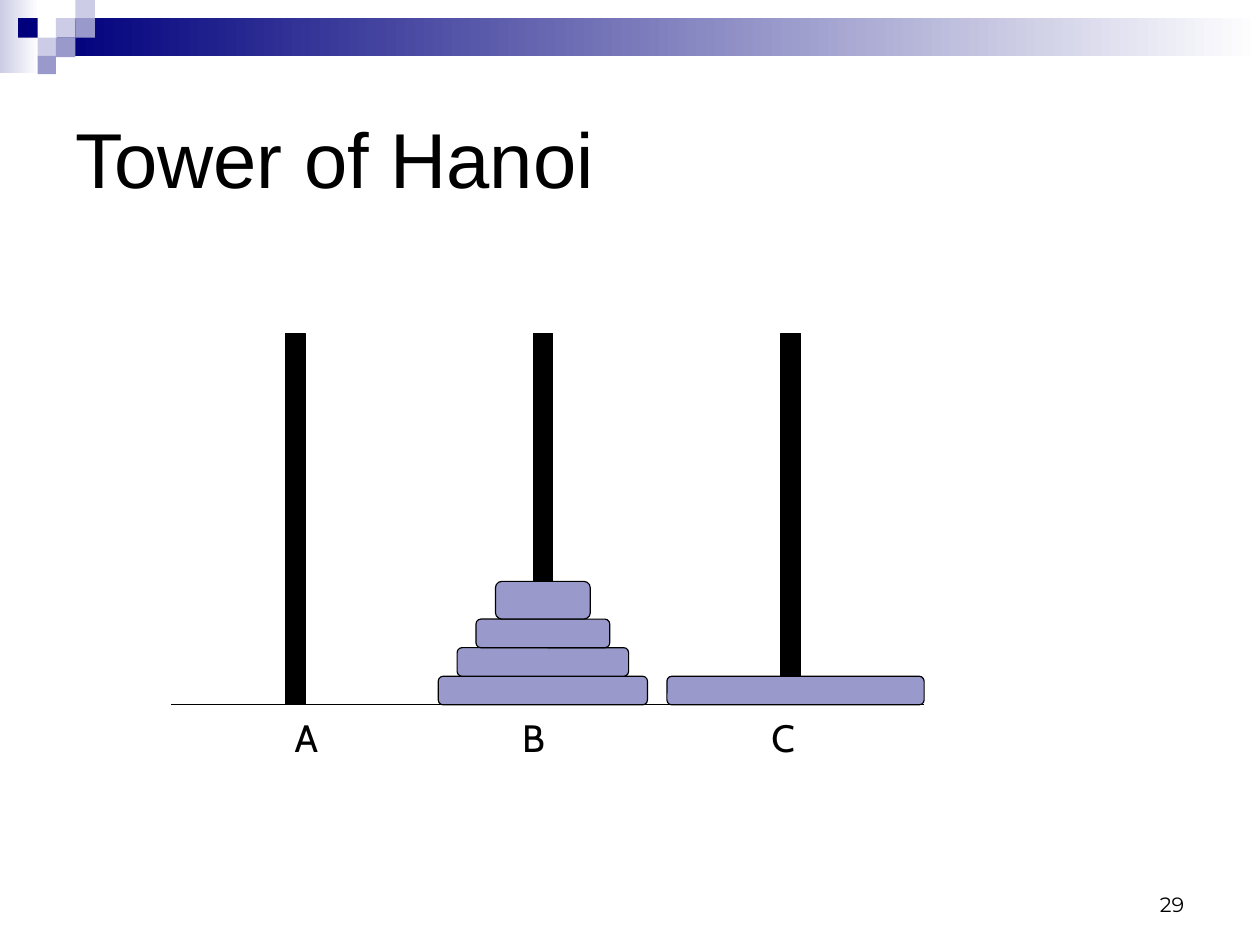
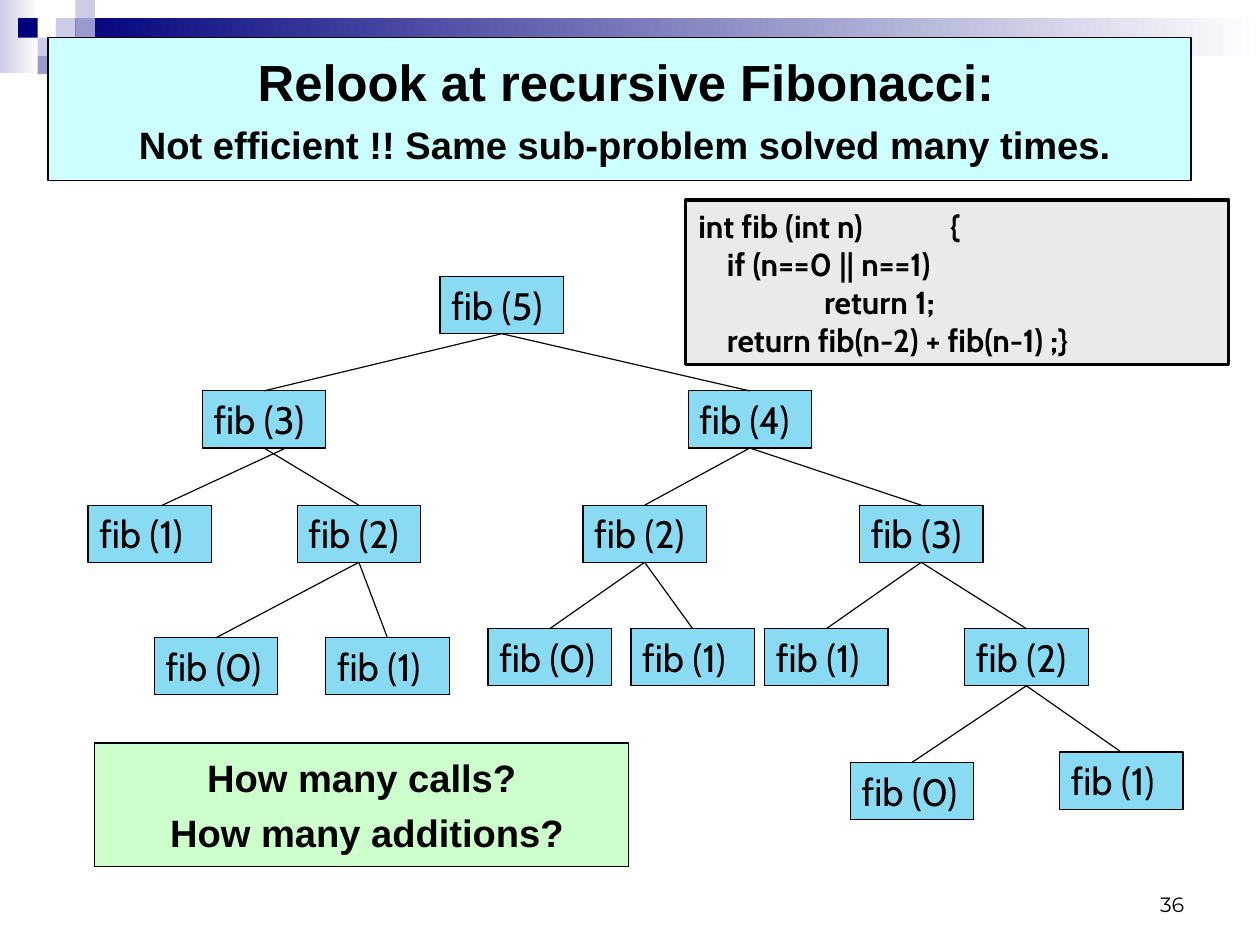
from lxml import etree
from pptx import Presentation
from pptx.dml.color import RGBColor
from pptx.enum.shapes import MSO_CONNECTOR as CONN, MSO_SHAPE as SHAPE
from pptx.enum.text import MSO_ANCHOR as ANCHOR, PP_ALIGN as ALIGN
from pptx.oxml.ns import qn
from pptx.util import Inches, Pt

COLORS = {
    "black": "000000", "white": "FFFFFF", "navy": "00007D",
    "lilac": "9999CC", "pale": "CCCCE6", "node": "89DAF3",
    "banner": "CCFFFF", "question": "CCFFCC", "code": "EAEAEA",
}
RGB = {name: RGBColor.from_string(value) for name, value in COLORS.items()}

# Page of 28 by 21 centimetres
prs = Presentation()
prs.slide_width = Inches(28 / 2.54)
prs.slide_height = Inches(21 / 2.54)


def add_box(s, x, y, w, h, fill=None, line=0.75, kind=SHAPE.RECTANGLE):
    """Add a shape; a pair of colours gives a gradient, no fill a text box."""
    place = [Inches(v) for v in (x, y, w, h)]
    if fill is None:
        return s.shapes.add_textbox(*place)
    sp = s.shapes.add_shape(kind, *place)
    sp.shadow.inherit = False
    if isinstance(fill, tuple):
        sp.fill.gradient()
        sp.fill.gradient_angle = 0
        for stop, name in zip(sp.fill.gradient_stops, fill):
            stop.color.rgb = RGB[name]
    else:
        sp.fill.solid()
        sp.fill.fore_color.rgb = RGB[fill]
    if line:
        sp.line.color.rgb = RGB["black"]
        sp.line.width = Pt(line)
    else:
        sp.line.fill.background()
    return sp


def write(sp, lines, font, bold=False, align=ALIGN.LEFT, anchor=ANCHOR.TOP,
          insets=(0.11, 0.06, 0.11, 0.06), gap=0, tabs=()):
    """Fill a shape with (text, size) lines."""
    tf = sp.text_frame
    tf.word_wrap = True
    tf.vertical_anchor = anchor
    tf.margin_left, tf.margin_top, tf.margin_right, tf.margin_bottom = [
        Inches(v) for v in insets]
    for i, (text, size) in enumerate(lines):
        p = tf.add_paragraph() if i else tf.paragraphs[0]
        p.alignment = align
        p.space_before = Pt(gap if i else 0)
        if tabs:
            tab_list = etree.SubElement(p._p.get_or_add_pPr(), qn("a:tabLst"))
            for pos in tabs:
                etree.SubElement(tab_list, qn("a:tab"), pos=str(Inches(pos)), algn="l")
        r = p.add_run()
        r.text = text
        r.font.name, r.font.size, r.font.bold = font, Pt(size), bold
        r.font.color.rgb = RGB["black"]


# Shared header and page number
HEADER = [
    (0, 0, 0.34, 0.64, ("pale", "white")),
    (0.5, 0.16, 10.53, 0.33, ("navy", "white")),
    (0.49, 0.16, 0.17, 0.17, "pale"),
    (0.66, 0, 0.17, 0.17, "pale"),
    (0.66, 0.16, 0.17, 0.17, "lilac"),
    (0.33, 0.33, 0.16, 0.17, "pale"),
    (0.16, 0.16, 0.17, 0.17, "navy"),
    (0.49, 0.33, 0.17, 0.17, "lilac"),
    (0.33, 0.49, 0.16, 0.16, "lilac"),
]
slides = []
for number in ("29", "36"):
    s = prs.slides.add_slide(prs.slide_layouts[6])
    for part in HEADER:
        add_box(s, *part, line=0)
    write(add_box(s, 7.9, 7.53, 2.57, 0.55), [(number, 13)], "Montserrat",
          align=ALIGN.RIGHT, anchor=ANCHOR.BOTTOM)
    slides.append(s)
hanoi, fibonacci = slides

# Tower of Hanoi: title, poles and labels
write(add_box(hanoi, 0.55, 0.55, 9.92, 1.65), [("Tower of Hanoi", 49)], "Arial",
      anchor=ANCHOR.MIDDLE)
GROUND = 37 / 6
for i, (label, label_x) in enumerate([("A", 2.48), ("B", 4.47), ("C", 6.65)]):
    add_box(hanoi, 2.5 + i * 13 / 6, GROUND - 3.25, 0.17, 3.25, "black")
    write(add_box(hanoi, label_x, 6.2, 0.41, 0.5), [(label, 24)], "Cabin",
          insets=(0.1, 0.05, 0, 0.05))

# Disks, bottom up on each pole: (centre, [(width, height), ...])
STACKS = [
    (4.75, [(1.83, 0.25), (1.5, 0.25), (1.17, 0.25), (0.83, 0.33)]),
    (6.96, [(2.25, 0.25)]),
]
for centre, disks in STACKS:
    top = GROUND
    for w, h in disks:
        top -= h
        sp = add_box(hanoi, centre - w / 2, top, w, h, "lilac",
                     kind=SHAPE.ROUNDED_RECTANGLE)
        sp.adjustments[0] = 0.17

# Call tree: (argument, left, top, parent index, shifts of the branch's two ends)
NODE_W, NODE_H = 1.08, 0.5
TREE = [
    (5, 3.85, 2.42, None, (0, 0)),
    (3, 1.77, 3.42, 0, (0, 0)), (4, 6.02, 3.42, 0, (0, 0)),
    (1, 0.77, 4.42, 1, (0.19, 0.11)), (2, 2.6, 4.42, 1, (0, 0)),
    (2, 5.1, 4.42, 2, (0, 0)), (3, 7.52, 4.42, 2, (0, 0)),
    (0, 1.35, 5.58, 4, (0, 0)), (1, 2.85, 5.58, 4, (0, 0)),
    (0, 4.27, 5.5, 5, (0, 0)), (1, 5.52, 5.5, 5, (0, 0)),
    (1, 6.69, 5.5, 6, (0, 0)), (2, 8.44, 5.5, 6, (0, 0)),
    (0, 7.44, 6.67, 12, (0, 0)), (1, 9.27, 6.58, 12, (0, 0)),
]
for n, x, y, parent, shifts in TREE:
    write(add_box(fibonacci, x, y, NODE_W, NODE_H, "node"), [(f"fib ({n})", 24)],
          "Cabin", insets=(0.1, 0.05, 0, 0.05))

# Straight lines: ground under the poles, branches of the tree
lines = [(hanoi, 1.5, GROUND, 8.08, GROUND)]
for n, x, y, parent, (start, end) in TREE[1:]:
    parent_x, parent_y = TREE[parent][1:3]
    lines.append((fibonacci, parent_x + NODE_W / 2 + start, parent_y + NODE_H,
                  x + NODE_W / 2 + end, y))
for s, *ends in lines:
    c = s.shapes.add_connector(CONN.STRAIGHT, *[Inches(v) for v in ends])
    c.line.color.rgb = RGB["black"]
    c.line.width = Pt(0.75)
    etree.SubElement(c._element.spPr, qn("a:effectLst"))

# Fibonacci banner, code and questions
write(add_box(fibonacci, 0.42, 0.33, 10, 1.25, "banner"),
      [(" Relook at recursive Fibonacci:", 32),
       (" Not efficient !! Same sub-problem solved many times.", 24)],
      "Arial", True, ALIGN.CENTER, ANCHOR.MIDDLE, (0, 0, 0, 0), gap=6)
CODE = ["int fib (int n)\t{", "    if (n==0 || n==1)", "\treturn 1;",
        "    return fib(n-2) + fib(n-1) ;}"]
write(add_box(fibonacci, 6, 1.75, 4.75, 1.44, "code", line=2),
      [(text, 20) for text in CODE], "Cabin", True, tabs=(1.1, 2.2))
write(add_box(fibonacci, 0.83, 6.5, 4.67, 1.08, "question"),
      [("How many calls?", 24), (" How many additions?", 24)],
      "Arial", True, ALIGN.CENTER, ANCHOR.MIDDLE, (0, 0, 0, 0), gap=6)

prs.save("out.pptx")
